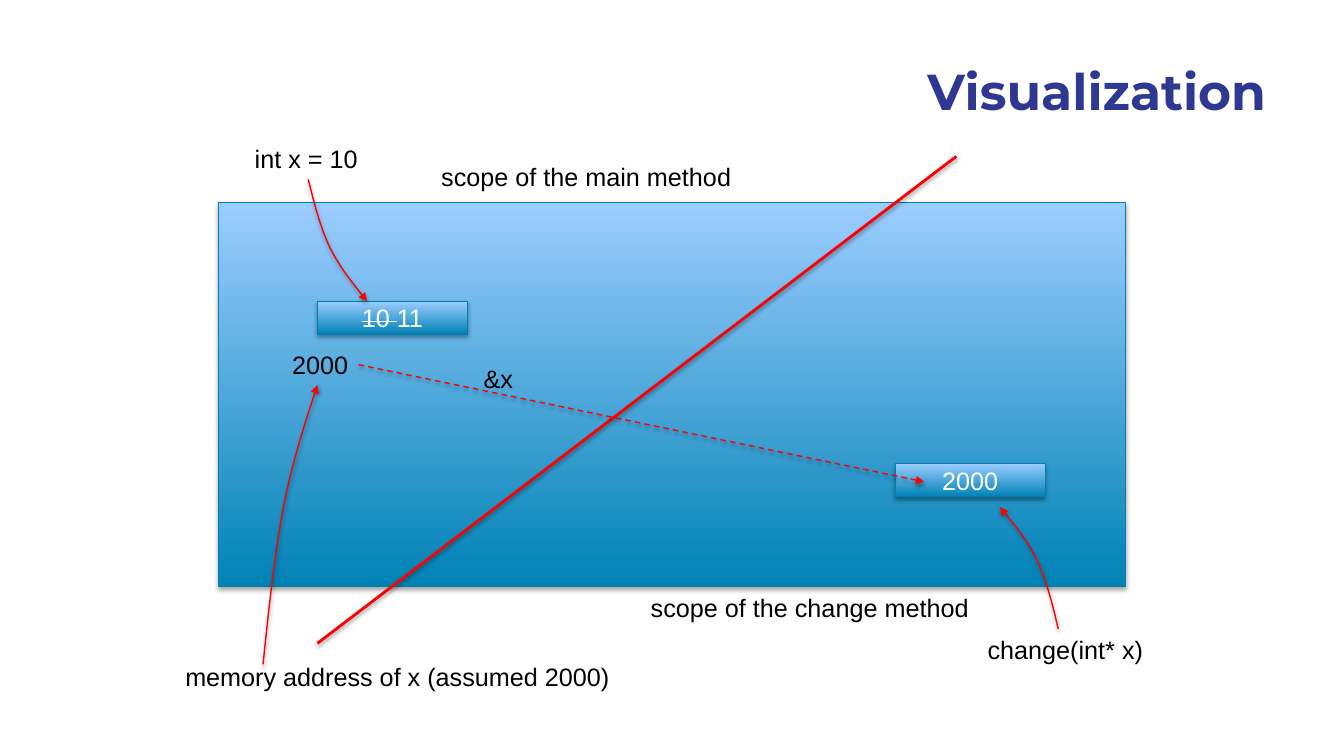
from dataclasses import dataclass
from lxml.etree import SubElement
from pptx import Presentation
from pptx.dml.color import RGBColor as RGB
from pptx.enum.dml import MSO_LINE_DASH_STYLE as DASH
from pptx.enum.shapes import MSO_CONNECTOR as CONN, MSO_SHAPE as SHAPE
from pptx.enum.text import MSO_ANCHOR as ANCHOR, MSO_AUTO_SIZE as AUTO, PP_ALIGN as ALIGN
from pptx.oxml.ns import qn
from pptx.util import Cm, Pt


@dataclass
class Theme:
    title: RGB = RGB(0x2E, 0x37, 0x91)
    dark: RGB = RGB(0x00, 0x82, 0xB5)
    light: RGB = RGB(0x9C, 0xCD, 0xFF)
    border: RGB = RGB(0x00, 0x7F, 0xB1)
    red: RGB = RGB(0xFF, 0x00, 0x00)
    black: RGB = RGB(0x00, 0x00, 0x00)
    white: RGB = RGB(0xFF, 0xFF, 0xFF)
    title_size: Pt = Pt(36)
    body_size: Pt = Pt(18)
    title_font: str = "Montserrat"
    body_font: str = "Arial"


theme = Theme()


def style_line(sp, color, width, arrow=False, alpha=38, dist=1.6):
    sp.line.color.rgb = color
    sp.line.width = Pt(width)
    if arrow:
        SubElement(sp.line._ln, qn("a:tailEnd"), type="triangle")
    spPr = sp._element.spPr
    effects = spPr.find(qn("a:effectLst"))
    if effects is None:
        effects = SubElement(spPr, qn("a:effectLst"))
    shadow = SubElement(effects, qn("a:outerShdw"), blurRad=str(Pt(3.1)),
                        dist=str(Pt(dist)), dir="5400000", rotWithShape="0")
    clr = SubElement(shadow, qn("a:srgbClr"), val="000000")
    SubElement(clr, qn("a:alpha"), val=str(alpha * 1000))


def add_run(p, text, color, size=theme.body_size, font=theme.body_font):
    r = p.add_run()
    r.text = text
    r.font.size = size
    r.font.name = font
    r.font.color.rgb = color
    return r


prs = Presentation()
prs.slide_width, prs.slide_height = Cm(33.87), Cm(19.05)
slide = prs.slides.add_slide(prs.slide_layouts[5])
shapes = slide.shapes

title = shapes.title
title.left, title.top, title.width, title.height = Cm(15.14), Cm(1.3), Cm(17.02), Cm(2.24)
tf = title.text_frame
tf.auto_size = AUTO.NONE
tf.vertical_anchor = ANCHOR.MIDDLE
p = tf.paragraphs[0]
p.alignment = ALIGN.RIGHT
p.line_spacing = 0.8
add_run(p, "Visualization", theme.title, theme.title_size, theme.title_font).font.bold = True

boxes = [
    (5.51, 5.11, 22.86, 9.68, []),
    (8, 7.59, 3.78, 0.84, [("10 ", True), ("11", False)]),
    (22.56, 11.68, 3.78, 0.84, [("2000", False)]),
]
for left, top, width, height, runs in boxes:
    sp = shapes.add_shape(SHAPE.RECTANGLE, Cm(left), Cm(top), Cm(width), Cm(height))
    sp.shadow.inherit = False
    sp.fill.gradient()
    sp.fill.gradient_angle = 90
    for stop, color in zip(sp.fill.gradient_stops, (theme.dark, theme.light)):
        stop.color.rgb = color
    style_line(sp, theme.border, 0.75, alpha=35, dist=1.8)
    tf = sp.text_frame
    tf.vertical_anchor = ANCHOR.MIDDLE
    p = tf.paragraphs[0]
    p.alignment = ALIGN.CENTER
    for text, struck in runs:
        r = add_run(p, text, theme.white)
        if struck:
            r.font._element.set("strike", "sngStrike")

lines = [
    (24.1, 3.94, 8, 16.21, 2, False),
    (9.04, 9.19, 23.29, 12.14, 1, True),
]
for x1, y1, x2, y2, width, dashed in lines:
    line = shapes.add_connector(CONN.STRAIGHT, Cm(x1), Cm(y1), Cm(x2), Cm(y2))
    if dashed:
        line.line.dash_style = DASH.DASH
    style_line(line, theme.red, width, arrow=dashed)

curves = [
    [(7.77, 4.52), (7.92, 5.13), (8.08, 5.76), (8.33, 6.27),
     (8.59, 6.78), (9.25, 7.59), (9.25, 7.59)],
    [(26.67, 15.85), (26.52, 15.21), (26.37, 14.6), (26.11, 14.07),
     (25.86, 13.56), (25.2, 12.78), (25.2, 12.78)],
    [(6.63, 16.74), (6.78, 15.29), (6.93, 13.87), (7.16, 12.7),
     (7.39, 11.53), (8, 9.7), (8, 9.7)],
]
for points in curves:
    start, *rest = [(Cm(x), Cm(y)) for x, y in points]
    builder = shapes.build_freeform(*start)
    builder.add_line_segments(rest, close=False)
    sp = builder.convert_to_shape()
    sp.shadow.inherit = False
    sp.fill.background()
    outline = sp._element.find(".//" + qn("a:path"))
    segments = outline.findall(qn("a:lnTo"))
    for i in range(0, len(segments), 3):
        bezier = SubElement(outline, qn("a:cubicBezTo"))
        for segment in segments[i:i + 3]:
            bezier.append(segment[0])
            outline.remove(segment)
    style_line(sp, theme.red, 1, arrow=True)

labels = [
    ("scope of the main method", 10.87, 3.94, 7.9),
    ("int x = 10", 6.17, 3.48, 3.12),
    ("scope of the change method", 16.15, 14.81, 8.61),
    ("change(int* x)", 24.64, 15.85, 4.47),
    ("&x", 11.94, 9.02, 1.27),
    ("2000", 7.11, 8.69, 1.93),
    ("memory address of x (assumed 2000)", 4.42, 16.54, 11.3),
]
for text, left, top, width in labels:
    tf = shapes.add_textbox(Cm(left), Cm(top), Cm(width), Cm(1.02)).text_frame
    tf.word_wrap = False
    tf.auto_size = AUTO.SHAPE_TO_FIT_TEXT
    add_run(tf.paragraphs[0], text, theme.black)

prs.save("out.pptx")
